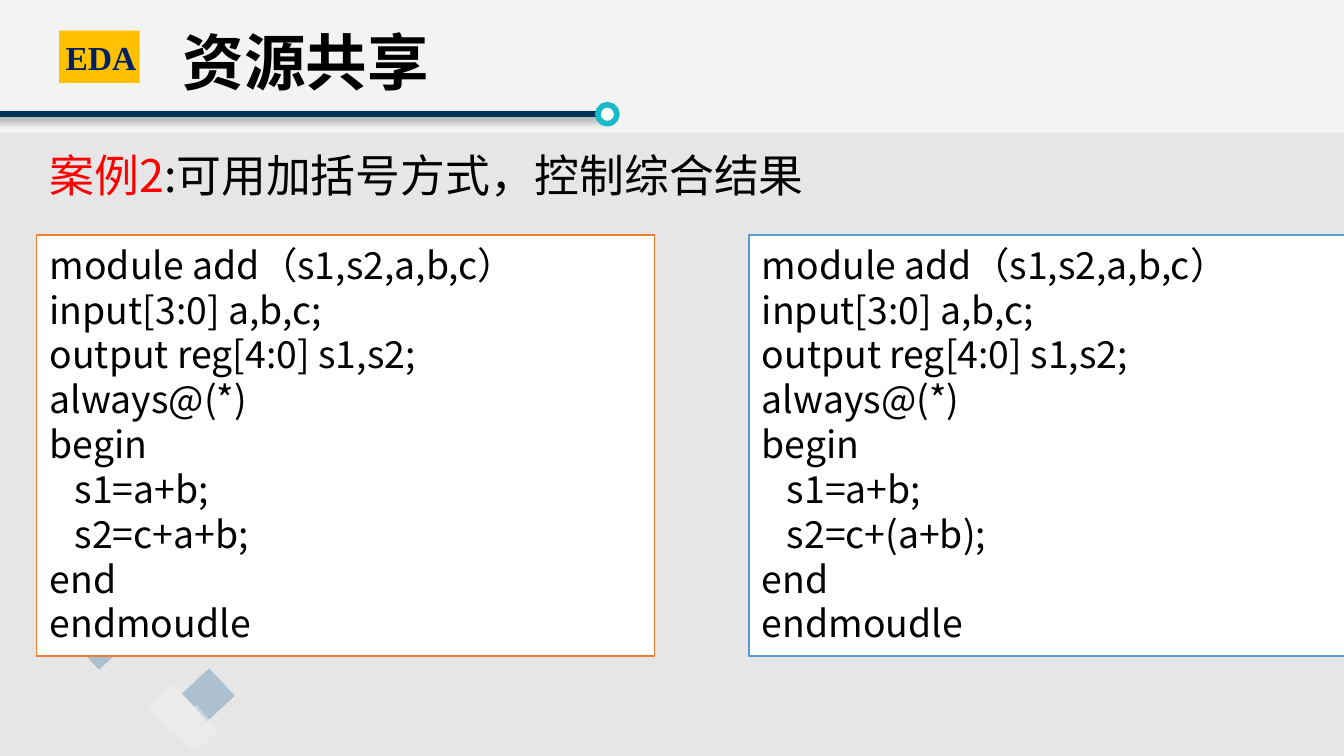
from dataclasses import dataclass
from lxml.etree import SubElement
from pptx import Presentation
from pptx.dml.color import RGBColor
from pptx.enum.shapes import MSO_CONNECTOR, MSO_SHAPE
from pptx.enum.text import MSO_ANCHOR, PP_ALIGN
from pptx.oxml.ns import qn
from pptx.util import Cm, Pt


@dataclass(frozen=True)
class Theme:
    black: str = "000000"
    white: str = "FFFFFF"
    red: str = "FF0000"
    navy: str = "002060"
    rule: str = "003456"
    teal: str = "1ABAC8"
    gold: str = "FFC000"
    orange: str = "ED7D31"
    blue: str = "5B9BD5"
    diamond_dark: str = "3773A4"
    diamond_light: str = "F2F2F2"
    upper: str = "E6E6E6"
    lower: str = "D9D9D9"
    cjk: str = "Noto Sans CJK SC"
    serif: str = "Times New Roman"
    title: int = 33
    case: int = 24
    code: int = 20
    badge: int = 18


T = Theme()
WIDTH, HEIGHT = 25.4, 14.29
HEADER = 2.51


def write(p, text, size, color=T.black, font=T.cjk, bold=False):
    """Add one formatted run to a paragraph."""
    r = p.add_run()
    r.text = text
    f = r.font
    f.size, f.bold, f.name = Pt(size), bold, font
    f.color.rgb = RGBColor.from_string(color)
    SubElement(r._r.get_or_add_rPr(), qn("a:ea")).set("typeface", T.cjk)


def shape(s, box, fill, kind=MSO_SHAPE.RECTANGLE, alpha=None, line=None, width=1, turn=0):
    """Draw a preset shape; alpha is the opacity in percent."""
    sp = s.shapes.add_shape(kind, *map(Cm, box))
    sp.shadow.inherit = False
    sp.rotation = turn
    sp.fill.solid()
    sp.fill.fore_color.rgb = RGBColor.from_string(fill)
    if alpha is not None:
        color = sp._element.spPr.find(qn("a:solidFill"))[0]
        SubElement(color, qn("a:alpha")).set("val", str(alpha * 1000))
    if line:
        sp.line.color.rgb = RGBColor.from_string(line)
        sp.line.width = Pt(width)
    else:
        sp.line.fill.background()
    return sp


def text_box(s, box, anchor=MSO_ANCHOR.TOP):
    tf = s.shapes.add_textbox(*map(Cm, box)).text_frame
    tf.word_wrap = True
    tf.vertical_anchor = anchor
    return tf


def backdrop(s, box):
    x, y, w, h = box
    shape(s, box, T.upper, alpha=47)
    shape(s, (x, y + HEADER, w, h - HEADER), T.lower, alpha=47)


def diamonds(s, box):
    x, y = box[:2]
    for dx, dy, side, color, alpha in (
        (0, 0, 0.64, T.diamond_dark, 33),
        (2.01, 0.89, 0.71, T.diamond_dark, 33),
        (1.37, 1.17, 0.64, T.diamond_light, 46),
        (1.8, 1.57, 0.64, T.diamond_light, 46),
    ):
        shape(s, (x + dx, y + dy, side, side), color, alpha=alpha, turn=47.2)


def header_rule(s, box):
    """Draw a shadowed line that ends in a ring."""
    x, y, w, ring = box
    mid = y + ring / 2
    c = s.shapes.add_connector(MSO_CONNECTOR.STRAIGHT, Cm(x), Cm(mid), Cm(x + w - ring), Cm(mid))
    c.line.color.rgb = RGBColor.from_string(T.rule)
    c.line.width = Pt(3)
    effects = SubElement(c._element.spPr, qn("a:effectLst"))
    shadow = SubElement(effects, qn("a:outerShdw"), blurRad=str(Pt(4)), dist=str(Pt(3)),
                        dir=str(45 * 60000), algn="tl", rotWithShape="0")
    color = SubElement(shadow, qn("a:srgbClr"), val=T.black)
    SubElement(color, qn("a:alpha"), val="40000")
    shape(s, (x + w - ring - 0.1, y, ring, ring), T.white, MSO_SHAPE.OVAL, line=T.teal, width=3)


def badge(s, box):
    x, y, w, h = box
    shape(s, box, T.gold)
    p = text_box(s, (x - 0.13, y - 0.05, w + 0.72, h + 0.2), MSO_ANCHOR.MIDDLE).paragraphs[0]
    p.line_spacing = 0.9
    write(p, "EDA", T.badge, T.navy, T.serif, True)


def title(s, box, text):
    sp = s.shapes.title
    sp.left, sp.top, sp.width, sp.height = map(Cm, box)
    tf = sp.text_frame
    tf.vertical_anchor = MSO_ANCHOR.MIDDLE
    p = tf.paragraphs[0]
    p.alignment, p.line_spacing = PP_ALIGN.LEFT, 0.9
    write(p, text, T.title, font=T.serif, bold=True)


def case_line(s, box, label, text):
    p = text_box(s, box).paragraphs[0]
    write(p, label, T.case, T.red)
    write(p, text, T.case)


def code_panel(s, box, border, total):
    """Show the adder module, with the given expression for s2."""
    tf = shape(s, box, T.white, line=border).text_frame
    tf.word_wrap = True
    tf.vertical_anchor = MSO_ANCHOR.TOP
    body = ("s1=a+b;", f"s2={total};")
    lines = ("module add（s1,s2,a,b,c）", "input[3:0] a,b,c;", "output reg[4:0] s1,s2;",
             "always@(*)", "begin", *body, "end", "endmoudle")
    for i, line in enumerate(lines):
        p = tf.add_paragraph() if i else tf.paragraphs[0]
        p.alignment = PP_ALIGN.LEFT
        if line in body:
            p._p.get_or_add_pPr().set("marL", str(Cm(0.47)))
        write(p, line, T.code)


def main():
    prs = Presentation()
    prs.slide_width, prs.slide_height = Cm(WIDTH), Cm(HEIGHT)
    s = prs.slides.add_slide(prs.slide_layouts[5])
    backdrop(s, (0, 0, WIDTH, HEIGHT))
    header_rule(s, (-0.58, 1.98, 12.34, 0.36))
    diamonds(s, (1.57, 11.89))
    badge(s, (1.12, 0.58, 1.52, 0.99))
    title(s, (3.2, 0.46, 21.89, 1.55), "资源共享")
    # The title placeholder comes first in the tree; bring it above the backdrop.
    s.shapes._spTree.append(s.shapes.title._element)
    case_line(s, (0.69, 2.67, 15.65, 1.27), "案例2", ":可用加括号方式，控制综合结果")
    panels = ((T.orange, "c+a+b"), (T.blue, "c+(a+b)"))
    for i, (border, total) in enumerate(panels):
        code_panel(s, (0.69 + i * 13.46, 4.45, 11.68, 7.95), border, total)
    prs.save("out.pptx")


if __name__ == "__main__":
    main()
